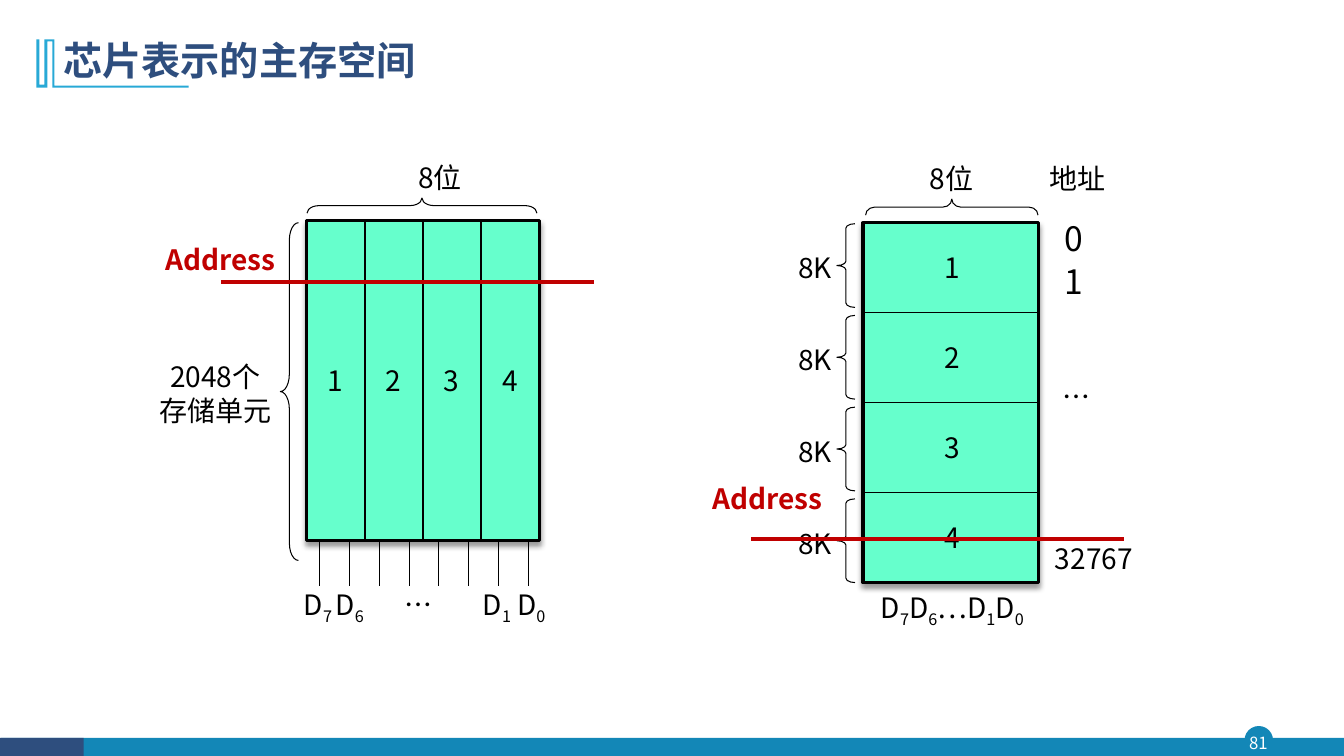
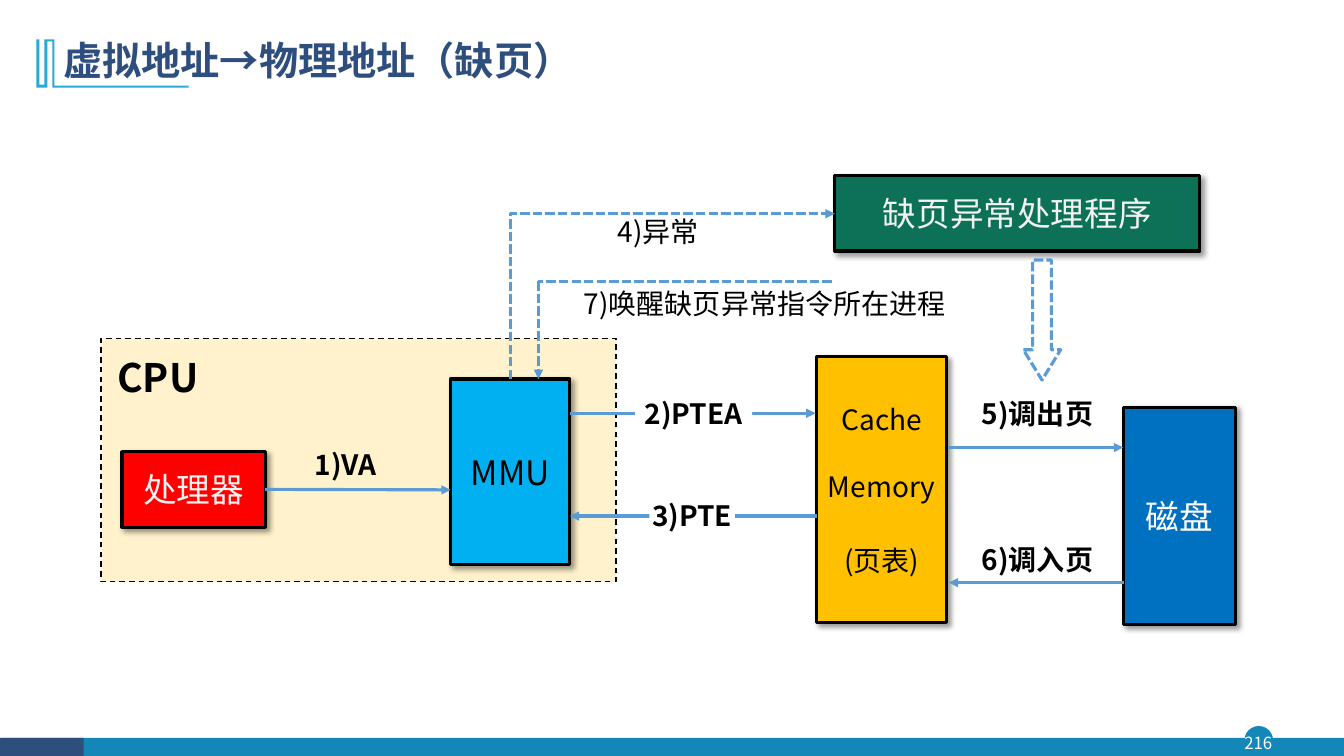
from lxml.etree import SubElement
from pptx import Presentation
from pptx.dml.color import RGBColor
from pptx.enum.dml import MSO_LINE as DASH
from pptx.enum.shapes import MSO_CONNECTOR as LINK, MSO_SHAPE as SHAPE
from pptx.enum.text import MSO_ANCHOR as ANCHOR, PP_ALIGN as ALIGN
from pptx.oxml.ns import qn
from pptx.util import Inches, Pt

FONT = "Noto Sans CJK SC"
BLACK = RGBColor(0x00, 0x00, 0x00)
WHITE = RGBColor(0xFF, 0xFF, 0xFF)
PALE = RGBColor(0xF2, 0xF2, 0xF2)
NAVY = RGBColor(0x2E, 0x4E, 0x7E)
TEAL = RGBColor(0x13, 0x87, 0xB7)
SKY = RGBColor(0x28, 0xA9, 0xD6)
MINT = RGBColor(0x66, 0xFF, 0xCC)
DARK_RED = RGBColor(0xC0, 0x00, 0x00)
ARROW_BLUE = RGBColor(0x5B, 0x9B, 0xD5)
CREAM = RGBColor(0xFF, 0xF2, 0xCC)
CYAN = RGBColor(0x00, 0xB0, 0xF0)
RED = RGBColor(0xFF, 0x00, 0x00)
BLUE = RGBColor(0x00, 0x70, 0xC0)
AMBER = RGBColor(0xFF, 0xC0, 0x00)
GREEN = RGBColor(0x0D, 0x71, 0x57)

TITLE_MARK = [(0.54, 0.39), (0.54, 0.85), (1.87, 0.85), (1.87, 0.87), (0.52, 0.87),
              (0.52, 0.41), (0.47, 0.41), (0.47, 0.87), (0.36, 0.87), (0.36, 0.39),
              (0.39, 0.39), (0.39, 0.84), (0.44, 0.84), (0.44, 0.39)]


def write(frame, text, size=20, color=BLACK, bold=False, align=ALIGN.CENTER,
          anchor=ANCHOR.TOP, inset=0, spacing=None, gaps=()):
    """Fill a frame; "_" lowers the next character, gaps are points before later lines."""
    frame.word_wrap = True
    frame.vertical_anchor = anchor
    frame.margin_left = frame.margin_right = Inches(inset)
    frame.margin_top = frame.margin_bottom = Inches(inset / 2)
    for i, line in enumerate(text.split("\n")):
        paragraph = frame.add_paragraph() if i else frame.paragraphs[0]
        paragraph.alignment = align
        if spacing:
            paragraph.line_spacing = spacing
        if i and gaps:
            paragraph.space_before = Pt(gaps[i - 1])
        first, *lowered = line.split("_")
        pieces = [(first, False)]
        for part in lowered:
            pieces += [(part[0], True), (part[1:], False)]
        for piece, is_sub in pieces:
            if not piece:
                continue
            run = paragraph.add_run()
            run.text = piece
            run.font.size = Pt(size)
            run.font.bold = bold
            run.font.color.rgb = color
            run.font.name = FONT
            properties = run.font._element
            SubElement(properties, qn("a:ea"), typeface=FONT)
            if is_sub:
                properties.set("baseline", "-25000")


class Deck:
    def __init__(self):
        self.prs = Presentation()
        self.prs.slide_width, self.prs.slide_height = Inches(13.33), Inches(7.5)
        self.slide = None

    def new_slide(self, title, number):
        self.slide = self.prs.slides.add_slide(self.prs.slide_layouts[6])
        self.shape(SHAPE.OVAL, 12.35, 7.21, 0.27, 0.27, fill=TEAL, line=TEAL, weight=1)
        self.shape(SHAPE.RECTANGLE, 0.01, 7.32, 13.32, 0.19, fill=TEAL)
        self.shape(SHAPE.RECTANGLE, 0, 7.32, 0.83, 0.19, fill=NAVY)
        self.label(number, 12.32, 7.21, 0.32, 0.31, size=12, color=WHITE,
                   anchor=ANCHOR.MIDDLE)
        points = [(Inches(x), Inches(y)) for x, y in TITLE_MARK]
        builder = self.slide.shapes.build_freeform(*points[0])
        builder.add_line_segments(points[1:], close=True)
        self.paint(builder.convert_to_shape(), fill=SKY)
        self.label(title, 0.53, 0.28, 11.5, 0.68, size=28, color=NAVY, bold=True,
                   align=ALIGN.LEFT, anchor=ANCHOR.MIDDLE, inset=0.1, spacing=0.9)

    def paint(self, shape, fill=None, line=None, weight=0.75, dash=None):
        shape.shadow.inherit = False
        if fill is None:
            shape.fill.background()
        else:
            shape.fill.solid()
            shape.fill.fore_color.rgb = fill
        if line is None:
            shape.line.fill.background()
        else:
            self.stroke(shape.line, line, weight, dash)

    def stroke(self, line, color, weight, dash):
        line.color.rgb = color
        line.width = Pt(weight)
        if dash is not None:
            line.dash_style = dash

    def shape(self, kind, x, y, w, h, adjust=(), **style):
        shape = self.slide.shapes.add_shape(kind, Inches(x), Inches(y), Inches(w), Inches(h))
        for i, value in enumerate(adjust):
            shape.adjustments[i] = value
        self.paint(shape, **style)
        return shape

    def block(self, x, y, w, h, fill, text="", angle=45, **text_format):
        """Black-edged box with a soft shadow falling at the given angle."""
        block = self.shape(SHAPE.RECTANGLE, x, y, w, h, fill=fill, line=BLACK, weight=2.25)
        effects = block._element.spPr.find(qn("a:effectLst"))
        shadow = SubElement(effects, qn("a:outerShdw"), blurRad=str(Pt(4)), dist=str(Pt(3)),
                            dir=str(angle * 60000), algn="ctr", rotWithShape="0")
        color = SubElement(shadow, qn("a:srgbClr"), val="000000")
        SubElement(color, qn("a:alpha"), val="40000")
        if text:
            write(block.text_frame, text, anchor=ANCHOR.MIDDLE, **text_format)
        return block

    def label(self, text, x, y, w, h, fill=None, **text_format):
        box = self.slide.shapes.add_textbox(Inches(x), Inches(y), Inches(w), Inches(h))
        if fill is not None:
            box.fill.solid()
            box.fill.fore_color.rgb = fill
        write(box.text_frame, text, **text_format)

    def brace(self, x, y, w, h, curve, rotation=0):
        brace = self.shape(SHAPE.LEFT_BRACE, x, y, w, h, (curve, 0.5), line=BLACK)
        brace.rotation = rotation

    def line(self, start, end, color=BLACK, weight=0.75, dash=None, arrow=False,
             begin=None, finish=None, kind=LINK.STRAIGHT):
        """Draw a connector; begin and finish are optional (shape, side) joints."""
        link = self.slide.shapes.add_connector(
            kind, *(Inches(value) for value in (*start, *end)))
        if begin:
            link.begin_connect(*begin)
        if finish:
            link.end_connect(*finish)
        self.stroke(link.line, color, weight, dash)
        SubElement(link._element.spPr, qn("a:effectLst"))
        if arrow:
            SubElement(link.line._get_or_add_ln(), qn("a:tailEnd"), type="triangle")
        return link

    def arrow(self, start, end, arrow=True, **style):
        return self.line(start, end, ARROW_BLUE, 2.25, arrow=arrow, **style)

    def up_then_right(self, start, end, **style):
        """One-bend arrow: a right-then-down elbow turned a quarter to the left."""
        rise, run = start[1] - end[1], end[0] - start[0]
        left = (start[0] + end[0] - rise) / 2
        top = (start[1] + end[1] - run) / 2
        link = self.arrow((left, top), (left + rise, top + run), kind=LINK.ELBOW, **style)
        properties = link._element.spPr
        properties.find(qn("a:xfrm")).set("rot", str(270 * 60000))
        properties.find(qn("a:prstGeom")).set("prst", "bentConnector2")

    def address_line(self, x, y, label_x, label_y):
        self.line((x, y), (x + 3.7, y), DARK_RED, 3)
        self.label("Address", label_x, label_y, 1.27, 0.88, color=DARK_RED, bold=True)


def bit_extension(deck):
    """Four chips side by side, sharing the 8 data bits."""
    x, y, w, h = 3.04, 2.19, 2.31, 3.17
    column = w / 4
    memory = deck.block(x, y, w, h, MINT, angle=90)
    for i in range(4):
        left = x + i * column
        if i:
            joints = dict(begin=(memory, 0), finish=(memory, 2)) if i == 2 else {}
            deck.line((left, y), (left, y + h), weight=1.3, **joints)
        deck.label(str(i + 1), left + 0.03, 3.61, 0.51, 0.34)
    for i in range(8):
        pin = 3.17 + i * 2.07 / 7
        deck.line((pin, 5.37), (pin, 5.81))
    deck.brace(4.11, 0.9, 0.15, 2.28, 0.79, rotation=90)
    deck.brace(2.78, 2.21, 0.18, 3.35, 0.96)
    deck.label("8位", 3.89, 1.59, 0.95, 0.48)
    deck.label("2048个\n存储单元", 1.5, 3.57, 1.27, 0.88)
    for bit, left, width in [("D_7", 2.96, 0.39), ("D_6", 3.27, 0.4), ("…", 3.66, 0.98),
                             ("D_1", 4.73, 0.4), ("D_0", 5.07, 0.4)]:
        deck.label(bit, left, 5.83, width, 0.34)


def word_extension(deck):
    """Four 8K chips stacked over one address range."""
    x, y, w, h = 8.56, 2.21, 1.74, 3.57
    row = h / 4
    memory = deck.block(x, y, w, h, MINT, angle=90)
    for i in range(4):
        top = y + i * row
        if i:
            joints = dict(begin=(memory, 1), finish=(memory, 3)) if i == 2 else {}
            deck.line((x, top), (x + w, top), **joints)
        deck.label(str(i + 1), 9.15, top + 0.28, 0.58, 0.36)
        brace_top = 2.22 + i * 0.91
        deck.brace(8.3, brace_top, 0.18, 0.83, 0.24)
        deck.label("8K", 7.83, brace_top + 0.27, 0.51, 0.36)
    deck.brace(9.36, 1.2, 0.16, 1.71, 0.56, rotation=90)
    deck.label("8位", 9.07, 1.6, 0.73, 0.44)
    deck.label("D_7D_6…D_1D_0", 8.49, 5.86, 1.91, 0.44)
    deck.label("地址", 10.23, 1.6, 0.92, 0.44)
    deck.label("0", 10.29, 2.29, 0.73, 0.27, size=24, spacing=0.64)
    deck.label("1", 10.45, 2.72, 0.4, 0.37, size=24, spacing=0.64)
    deck.label("…", 10.45, 3.76, 0.45, 0.75)
    deck.label("32767", 10.38, 5.37, 0.94, 0.36)


def memory_space_slide(deck):
    deck.new_slide("芯片表示的主存空间", "81")
    bit_extension(deck)
    word_extension(deck)
    deck.address_line(2.19, 2.8, 1.55, 2.41)
    deck.address_line(7.45, 5.35, 6.98, 4.78)


def page_fault_slide(deck):
    deck.new_slide("虚拟地址→物理地址（缺页）", "216")
    deck.shape(SHAPE.RECTANGLE, 1, 3.36, 5.11, 2.41, fill=CREAM, line=BLACK, weight=1,
               dash=DASH.DASH)
    deck.label("CPU", 0.84, 3.51, 1.45, 0.43, size=28, bold=True)
    deck.block(4.47, 3.76, 1.18, 1.84, CYAN, "MMU", size=24)
    processor = deck.block(1.21, 4.48, 1.42, 0.75, RED, "处理器", size=24, color=PALE)
    deck.block(11.14, 4.04, 1.11, 2.16, BLUE, "磁盘", size=24, color=WHITE)
    deck.block(8.1, 3.54, 1.29, 2.64, AMBER, "Cache\nMemory\n(页表)", gaps=(24, 29))
    deck.block(8.28, 1.74, 3.62, 0.75, GREEN, "缺页异常处理程序", size=24, color=PALE)

    deck.label("1)VA", 2.96, 4.44, 0.94, 0.57, bold=True)
    deck.arrow((2.63, 4.86), (4.47, 4.86), begin=(processor, 3))
    for text, start, end, label_box in [
            ("2)PTEA", (5.65, 4.1), (8.09, 4.1), (6.3, 3.93, 1.16, 0.4)),
            ("3)PTE", (8.1, 5.12), (5.65, 5.12), (6.44, 4.95, 0.85, 0.4))]:
        deck.arrow(start, end)
        deck.label(text, *label_box, fill=WHITE, bold=True)
    for text, top, start, end in [("5)调出页", 3.93, (9.4, 4.44), (11.14, 4.44)),
                                  ("6)调入页", 5.38, (11.15, 5.78), (9.41, 5.78))]:
        deck.label(text, 9.52, top, 1.54, 0.4, fill=WHITE, bold=True)
        deck.arrow(start, end)

    deck.label("4)异常", 6.06, 2.13, 0.94, 0.4, fill=WHITE)
    deck.up_then_right((5.06, 3.76), (8.28, 2.12), dash=DASH.SQUARE_DOT)
    deck.label("7)唤醒缺页异常指令所在进程", 5.79, 2.84, 3.95, 0.42, fill=WHITE,
               align=ALIGN.JUSTIFY)
    deck.arrow((8.25, 2.79), (5.34, 2.79), arrow=False, dash=DASH.SQUARE_DOT)
    deck.arrow((5.34, 2.79), (5.34, 3.76), dash=DASH.SQUARE_DOT)
    deck.shape(SHAPE.DOWN_ARROW, 10.15, 2.58, 0.37, 1.19, (0.5, 0.81), line=ARROW_BLUE,
               weight=2.25, dash=DASH.SQUARE_DOT)


def main():
    deck = Deck()
    memory_space_slide(deck)
    page_fault_slide(deck)
    deck.prs.save("out.pptx")


if __name__ == "__main__":
    main()
